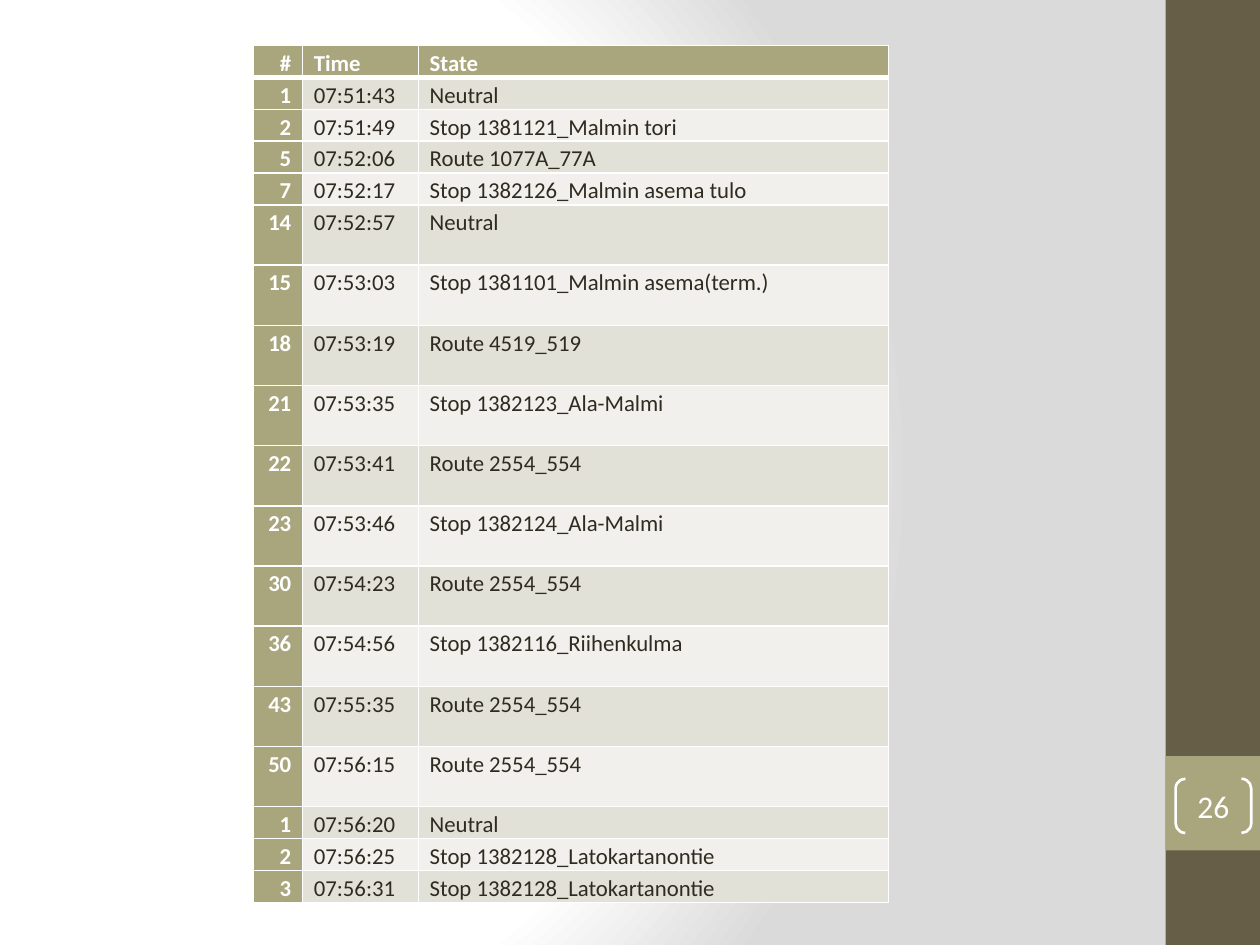
from pptx import Presentation
from pptx.dml.color import RGBColor
from pptx.enum import shapes, text
from pptx.oxml import parse_xml
from pptx.oxml.ns import nsdecls, qn
from pptx.util import Pt

FONT = "Calibri"
WHITE, INK = "FFFFFF", "2F2B20"
SAND, BROWN = "A9A57C", "675E47"
BANDS = ("E2E1D7", "F1F0EC")

HEADINGS = ("#", "Time", "State")
COLUMN_WIDTHS = (28, 66.2, 268.6)
LOW_ROW, TALL_ROW = 17.4, 34.4
TALL_ROWS = range(5, 15)
STATES = [
    ("1", "07:51:43", "Neutral"),
    ("2", "07:51:49", "Stop 1381121_Malmin tori"),
    ("5", "07:52:06", "Route 1077A_77A"),
    ("7", "07:52:17", "Stop 1382126_Malmin asema tulo"),
    ("14", "07:52:57", "Neutral"),
    ("15", "07:53:03", "Stop 1381101_Malmin asema(term.)"),
    ("18", "07:53:19", "Route 4519_519"),
    ("21", "07:53:35", "Stop 1382123_Ala-Malmi"),
    ("22", "07:53:41", "Route 2554_554"),
    ("23", "07:53:46", "Stop 1382124_Ala-Malmi"),
    ("30", "07:54:23", "Route 2554_554"),
    ("36", "07:54:56", "Stop 1382116_Riihenkulma"),
    ("43", "07:55:35", "Route 2554_554"),
    ("50", "07:56:15", "Route 2554_554"),
    ("1", "07:56:20", "Neutral"),
    ("2", "07:56:25", "Stop 1382128_Latokartanontie"),
    ("3", "07:56:31", "Stop 1382128_Latokartanontie"),
]


def paint(color_format, color):
    color_format.rgb = RGBColor.from_string(color)


def fill_solid(item, color):
    item.fill.solid()
    paint(item.fill.fore_color, color)


def format_span(span, size, color, bold=False):
    span.font.name = FONT
    span.font.size = Pt(size)
    span.font.bold = bold
    paint(span.font.color, color)


def set_background(page):
    page.background.fill.gradient()
    gradient = page.element.find(".//" + qn("a:gradFill"))
    stops = "".join(
        f'<a:gs pos="{position * 1000}"><a:srgbClr val="{color}"/></a:gs>'
        for position, color in ((0, WHITE), (75, WHITE), (100, "DADADA")))
    gradient.getparent().replace(gradient, parse_xml(
        f'<a:gradFill {nsdecls("a")} rotWithShape="1"><a:gsLst>{stops}</a:gsLst>'
        '<a:path path="circle"><a:fillToRect l="20000" t="50000" r="100000" b="50000"/>'
        '</a:path></a:gradFill>'))


def add_block(page, left, top, width, height, color):
    block = page.shapes.add_shape(shapes.MSO_SHAPE.RECTANGLE,
                                  Pt(left), Pt(top), Pt(width), Pt(height))
    block.shadow.inherit = False
    fill_solid(block, color)
    block.line.fill.background()


def add_sidebar(page, left, top, width, height, number):
    # Strip with a square near its foot
    add_block(page, left, top, width, height, BROWN)
    square_top = top + height * 0.8
    add_block(page, left, square_top, width, width, SAND)

    # Page number in brackets
    brackets = page.shapes.add_shape(
        shapes.MSO_SHAPE.DOUBLE_BRACKET,
        Pt(left + 5.8), Pt(square_top + 13), Pt(43.2), Pt(31))
    brackets.adjustments[0] = 0.18
    brackets.shadow.inherit = False
    brackets.fill.background()
    paint(brackets.line.color, WHITE)
    brackets.line.width = Pt(1.5)
    frame = brackets.text_frame
    frame.margin_left = frame.margin_right = frame.margin_top = frame.margin_bottom = 0
    frame.vertical_anchor = text.MSO_ANCHOR.MIDDLE
    frame.text = number
    para = frame.paragraphs[0]
    para.alignment = text.PP_ALIGN.CENTER
    format_span(para.runs[0], 18, WHITE)


def set_borders(cell, top, bottom):
    properties = cell._tc.get_or_add_tcPr()
    sides = (("lnL", 1), ("lnR", 1), ("lnT", top), ("lnB", bottom))
    for index, (side, width) in enumerate(sides):
        properties.insert(index, parse_xml(
            f'<a:{side} {nsdecls("a")} w="{Pt(width)}"><a:solidFill>'
            f'<a:srgbClr val="{WHITE}"/></a:solidFill></a:{side}>'))


def fill_cell(cell, words, row, column):
    is_heading = row == 0 or column == 0
    cell.margin_left = cell.margin_right = Pt(6.5)
    cell.margin_top = cell.margin_bottom = 0
    cell.text_frame.text = words
    para = cell.text_frame.paragraphs[0]
    para.line_spacing = 1.15
    para.alignment = text.PP_ALIGN.LEFT if column else text.PP_ALIGN.RIGHT
    format_span(para.runs[0], 13, WHITE if is_heading else INK, is_heading)
    fill_solid(cell, SAND if is_heading else BANDS[(row - 1) % 2])
    set_borders(cell, top=3 if row == 1 else 1, bottom=3 if row == 0 else 1)


def add_state_table(page, left, top):
    rows = [HEADINGS] + STATES
    heights = [TALL_ROW if row in TALL_ROWS else LOW_ROW for row in range(len(rows))]
    table = page.shapes.add_table(
        len(rows), len(HEADINGS), Pt(left), Pt(top),
        Pt(sum(COLUMN_WIDTHS)), Pt(sum(heights))).table
    table.first_col = True
    for column, width in zip(table.columns, COLUMN_WIDTHS):
        column.width = Pt(width)
    for row, (height, entries) in enumerate(zip(heights, rows)):
        table.rows[row].height = Pt(height)
        for column, words in enumerate(entries):
            fill_cell(table.cell(row, column), words, row, column)


def main():
    deck = Presentation()
    deck.slide_width, deck.slide_height = Pt(720), Pt(540)
    page = deck.slides.add_slide(deck.slide_layouts[6])
    set_background(page)
    add_sidebar(page, 666, 0, 54, 540, "26")
    add_state_table(page, 144.9, 26)
    deck.save("out.pptx")


if __name__ == "__main__":
    main()
